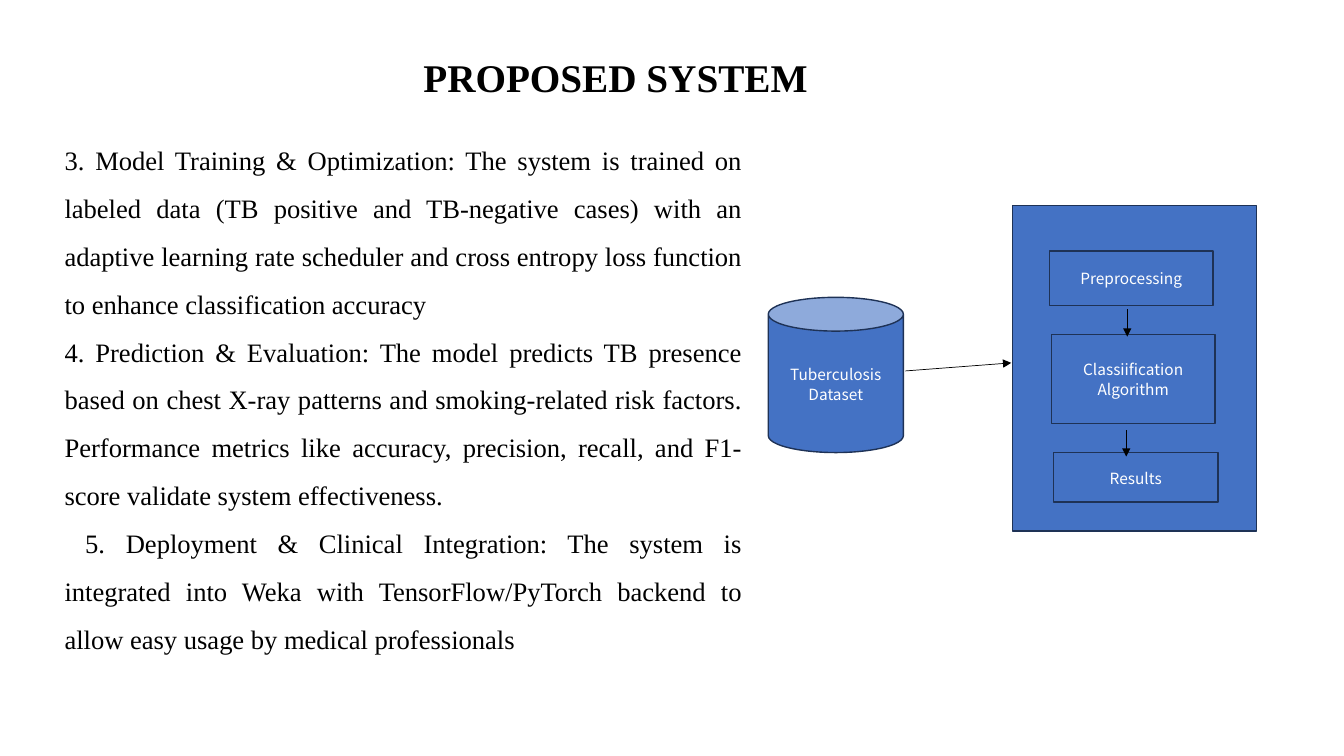
from lxml import etree
from pptx import Presentation
from pptx.dml.color import RGBColor
from pptx.enum import shapes, text
from pptx.oxml.ns import qn
from pptx.util import Inches, Pt

# Content
TITLE = "PROPOSED SYSTEM"
STEPS = [
    "3. Model Training & Optimization: The system is trained on labeled data (TB positive and "
    "TB-negative cases) with an adaptive learning rate scheduler and cross entropy loss function "
    "to enhance classification accuracy",
    "4. Prediction & Evaluation: The model predicts TB presence based on chest X-ray patterns and "
    "smoking-related risk factors. Performance metrics like accuracy, precision, recall, and "
    "F1-score validate system effectiveness.",
    " 5. Deployment & Clinical Integration: The system is integrated into Weka with "
    "TensorFlow/PyTorch backend to allow easy usage by medical professionals",
]
CAN, RECT = shapes.MSO_SHAPE.CAN, shapes.MSO_SHAPE.RECTANGLE
# Diagram nodes: preset, label, (left, top, width, height)
NODES = [
    (CAN, "Tuberculosis Dataset", (7.62, 2.95, 1.34, 1.54)),
    (RECT, "", (10.04, 2.04, 2.42, 3.23)),
    (RECT, "Preprocessing", (10.41, 2.49, 1.62, 0.54)),
    (RECT, "Classiification Algorithm", (10.43, 3.32, 1.62, 0.88)),
    (RECT, "Results", (10.45, 4.49, 1.63, 0.49)),
]
# Arrows: from x, from y, to x, to y
ARROWS = [
    (8.98, 3.68, 10.03, 3.6),
    (11.18, 3.07, 11.18, 3.34),
    (11.17, 4.27, 11.17, 4.53),
]

SERIF, SANS = "Times New Roman", "Noto Sans CJK JP"
BLACK = RGBColor(0x00, 0x00, 0x00)
WHITE = RGBColor(0xFF, 0xFF, 0xFF)
BLUE = RGBColor(0x44, 0x72, 0xC4)
NAVY = RGBColor(0x1E, 0x32, 0x56)


def add_run(p, words, font, size, color, bold=False):
    r = p.add_run()
    r.text = words
    r.font.name, r.font.size, r.font.bold = font, Pt(size), bold
    r.font.color.rgb = color


def place(sp, left, top, width, height):
    sp.left, sp.top = Inches(left), Inches(top)
    sp.width, sp.height = Inches(width), Inches(height)
    tf = sp.text_frame
    tf.word_wrap = True
    tf.auto_size = text.MSO_AUTO_SIZE.NONE
    tf.vertical_anchor = text.MSO_ANCHOR.TOP
    return tf


def add_node(s, preset, label, box):
    sp = s.shapes.add_shape(preset, *map(Inches, box))
    sp.shadow.inherit = False
    sp.fill.solid()
    sp.fill.fore_color.rgb = BLUE
    sp.line.color.rgb = NAVY
    sp.line.width = Pt(1)
    if label:
        tf = sp.text_frame
        tf.word_wrap = True
        tf.vertical_anchor = text.MSO_ANCHOR.MIDDLE
        p = tf.paragraphs[0]
        p.alignment = text.PP_ALIGN.CENTER
        p.line_spacing, p.space_after = 1.07, Pt(8)
        add_run(p, label, SANS, 11, WHITE)


def add_arrow(s, ends):
    line = s.shapes.add_connector(shapes.MSO_CONNECTOR.STRAIGHT, *map(Inches, ends))
    line.line.color.rgb = BLACK
    line.line.width = Pt(0.5)
    spPr = line._element.spPr
    etree.SubElement(spPr.get_or_add_ln(), qn("a:tailEnd"), type="triangle")
    etree.SubElement(spPr, qn("a:effectLst"))


def main():
    prs = Presentation()
    prs.slide_width, prs.slide_height = Inches(13.33), Inches(7.5)
    s = prs.slides.add_slide(prs.slide_layouts[1])
    title, body = s.placeholders

    # Title
    p = place(title, 4.1, 0.48, 4.75, 0.57).paragraphs[0]
    p.alignment = text.PP_ALIGN.LEFT
    add_run(p, TITLE, SERIF, 28, BLACK, bold=True)

    # Numbered steps, without bullets
    tf = place(body, 0.54, 1.22, 6.92, 5.59)
    for i, step in enumerate(STEPS):
        p = tf.add_paragraph() if i else tf.paragraphs[0]
        p.alignment = text.PP_ALIGN.JUSTIFY
        p.line_spacing, p.space_before = 1.5, Pt(0)
        pPr = p._p.get_or_add_pPr()
        pPr.set("marL", "0")
        pPr.set("indent", "0")
        etree.SubElement(pPr, qn("a:buNone"))
        add_run(p, step, SERIF, 19, BLACK)

    # Diagram
    for node in NODES:
        add_node(s, *node)
    for ends in ARROWS:
        add_arrow(s, ends)

    prs.save("out.pptx")


if __name__ == "__main__":
    main()
